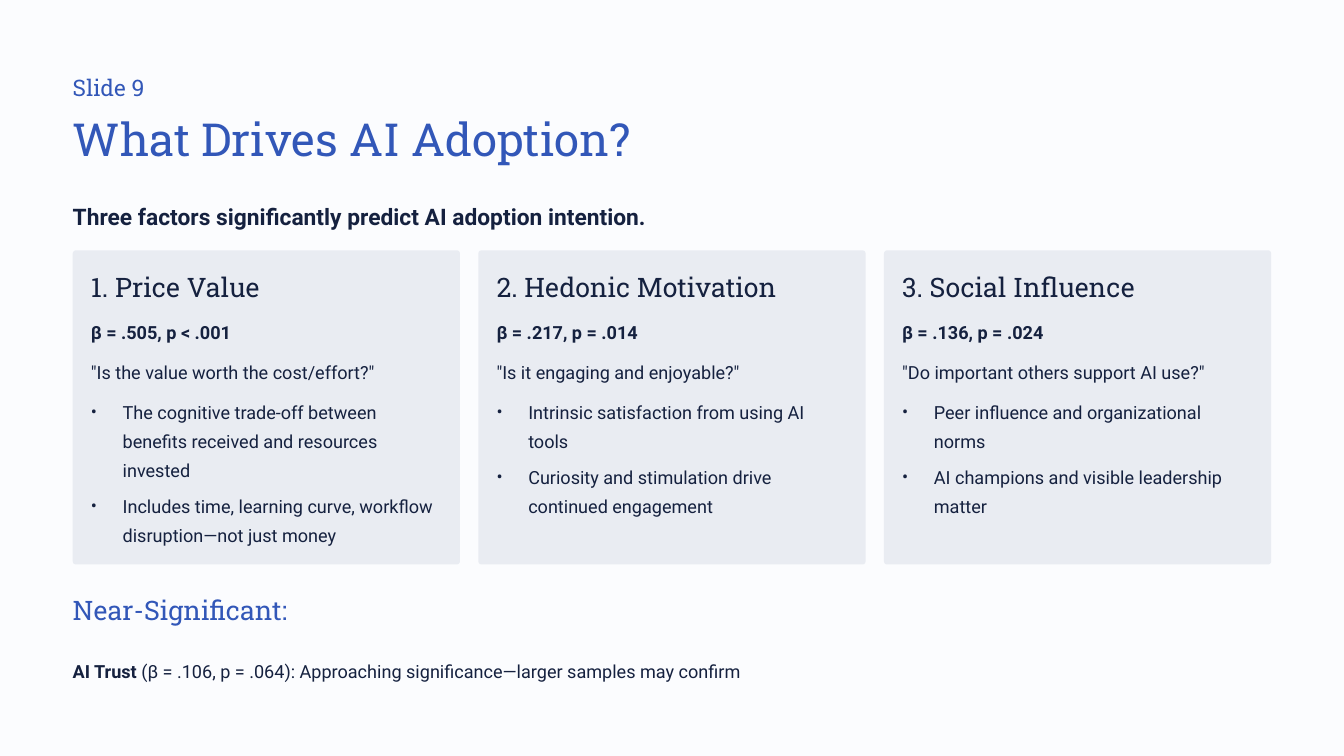
from dataclasses import dataclass

from lxml import etree
from pptx import Presentation
from pptx.dml.color import RGBColor
from pptx.enum import shapes, text
from pptx.oxml import ns
from pptx.util import Cm, Pt


@dataclass(frozen=True)
class Style:
    size: float
    line: float
    font: str
    color: str
    bold: bool = False


class Theme:
    background = "FBFCFE"
    card = "E9ECF2"
    blue = "3257B8"
    navy = "15213F"
    serif = "Roboto Slab"
    sans = "Roboto"
    label = Style(19.5, 24, serif, blue)
    title = Style(39, 48.5, serif, blue)
    lead = Style(19.5, 31, sans, navy, True)
    section = Style(23, 29, serif, blue)
    card_title = Style(23, 29, serif, navy)
    body = Style(15.5, 25, sans, navy)
    strong = Style(15.5, 25, sans, navy, True)
    bullet_gap = 5.5


SLIDE_WIDTH, SLIDE_HEIGHT = 40.64, 22.86
MARGIN = 2.2
CONTENT_WIDTH = SLIDE_WIDTH - 2 * MARGIN
CARD_TOP, CARD_WIDTH, CARD_HEIGHT = 7.57, 11.71, 9.5
CARD_PITCH = (CONTENT_WIDTH - CARD_WIDTH) / 2
CARD_PADDING = 0.55
CARD_TEXT_WIDTH = 10.62
BULLET_INDENT = 0.96

FACTORS = [
    ("1. Price Value", "β = .505, p < .001", '"Is the value worth the cost/effort?"',
     ["The cognitive trade-off between benefits received and resources invested",
      "Includes time, learning curve, workflow disruption—not just money"]),
    ("2. Hedonic Motivation", "β = .217, p = .014", '"Is it engaging and enjoyable?"',
     ["Intrinsic satisfaction from using AI tools",
      "Curiosity and stimulation drive continued engagement"]),
    ("3. Social Influence", "β = .136, p = .024", '"Do important others support AI use?"',
     ["Peer influence and organizational norms",
      "AI champions and visible leadership matter"]),
]


def add_panel(slide, preset, left, top, width, height, color):
    """Add a filled shape without outline or shadow."""
    panel = slide.shapes.add_shape(preset, Cm(left), Cm(top), Cm(width), Cm(height))
    panel.shadow.inherit = False
    panel.fill.solid()
    panel.fill.fore_color.rgb = RGBColor.from_string(color)
    panel.line.fill.background()
    return panel


def add_frame(slide, left, top, width, height, wrap=False):
    """Add a text box without insets and return its text frame."""
    box = slide.shapes.add_textbox(Cm(left), Cm(top), Cm(width), Cm(height))
    frame = box.text_frame
    frame.margin_left = frame.margin_top = frame.margin_right = frame.margin_bottom = 0
    frame.word_wrap = wrap
    frame.vertical_anchor = text.MSO_ANCHOR.TOP
    return frame


def fill_paragraph(paragraph, *runs):
    """Add (wording, style) runs; the first style sets the line spacing."""
    paragraph.line_spacing = Pt(runs[0][1].line)
    for wording, style in runs:
        run = paragraph.add_run()
        run.text = wording
        run.font.name = style.font
        run.font.size = Pt(style.size)
        run.font.bold = style.bold
        run.font.color.rgb = RGBColor.from_string(style.color)


def add_line(slide, left, top, width, height, *runs):
    frame = add_frame(slide, left, top, width, height)
    fill_paragraph(frame.paragraphs[0], *runs)


def add_bullets(slide, left, top, width, height, items):
    frame = add_frame(slide, left, top, width, height, wrap=True)
    for index, item in enumerate(items):
        paragraph = frame.add_paragraph() if index else frame.paragraphs[0]
        fill_paragraph(paragraph, (item, Theme.body))
        paragraph.space_after = Pt(Theme.bullet_gap)
        properties = paragraph._p.get_or_add_pPr()
        properties.set("marL", str(Cm(BULLET_INDENT)))
        properties.set("indent", str(-Cm(BULLET_INDENT)))
        etree.SubElement(properties, ns.qn("a:buFont"), typeface=Theme.sans)
        etree.SubElement(properties, ns.qn("a:buChar"), char="•")


def add_card(slide, left, heading, statistic, question, bullets):
    card = add_panel(slide, shapes.MSO_SHAPE.ROUNDED_RECTANGLE,
                     left, CARD_TOP, CARD_WIDTH, CARD_HEIGHT, Theme.card)
    card.adjustments[0] = 0.01

    inner = left + CARD_PADDING
    add_line(slide, inner, 8.13, CARD_TEXT_WIDTH, 1.04, (heading, Theme.card_title))
    add_line(slide, inner, 9.5, CARD_TEXT_WIDTH, 0.89, (statistic, Theme.strong))
    add_line(slide, inner, 10.69, CARD_TEXT_WIDTH, 0.89, (question, Theme.body))
    add_bullets(slide, inner, 11.91, CARD_TEXT_WIDTH, 4.6, bullets)


def main():
    presentation = Presentation()
    presentation.slide_width, presentation.slide_height = Cm(SLIDE_WIDTH), Cm(SLIDE_HEIGHT)
    slide = presentation.slides.add_slide(presentation.slide_layouts[6])
    add_panel(slide, shapes.MSO_SHAPE.RECTANGLE,
              0, 0, SLIDE_WIDTH, SLIDE_HEIGHT, Theme.background)

    add_line(slide, MARGIN, 2.21, 6.88, 0.86, ("Slide 9", Theme.label))
    add_line(slide, MARGIN, 3.3, 17.5, 1.73, ("What Drives AI Adoption?", Theme.title))
    add_line(slide, MARGIN, 5.86, CONTENT_WIDTH, 1.09,
             ("Three factors significantly predict AI adoption intention.", Theme.lead))
    for index, factor in enumerate(FACTORS):
        add_card(slide, MARGIN + index * CARD_PITCH, *factor)
    add_line(slide, MARGIN, 17.91, 8.28, 1.04, ("Near-Significant:", Theme.section))
    add_line(slide, MARGIN, 19.74, CONTENT_WIDTH, 0.89,
             ("AI Trust", Theme.strong),
             (" (β = .106, p = .064): Approaching significance—larger samples may confirm",
              Theme.body))
    presentation.save("out.pptx")


if __name__ == "__main__":
    main()
